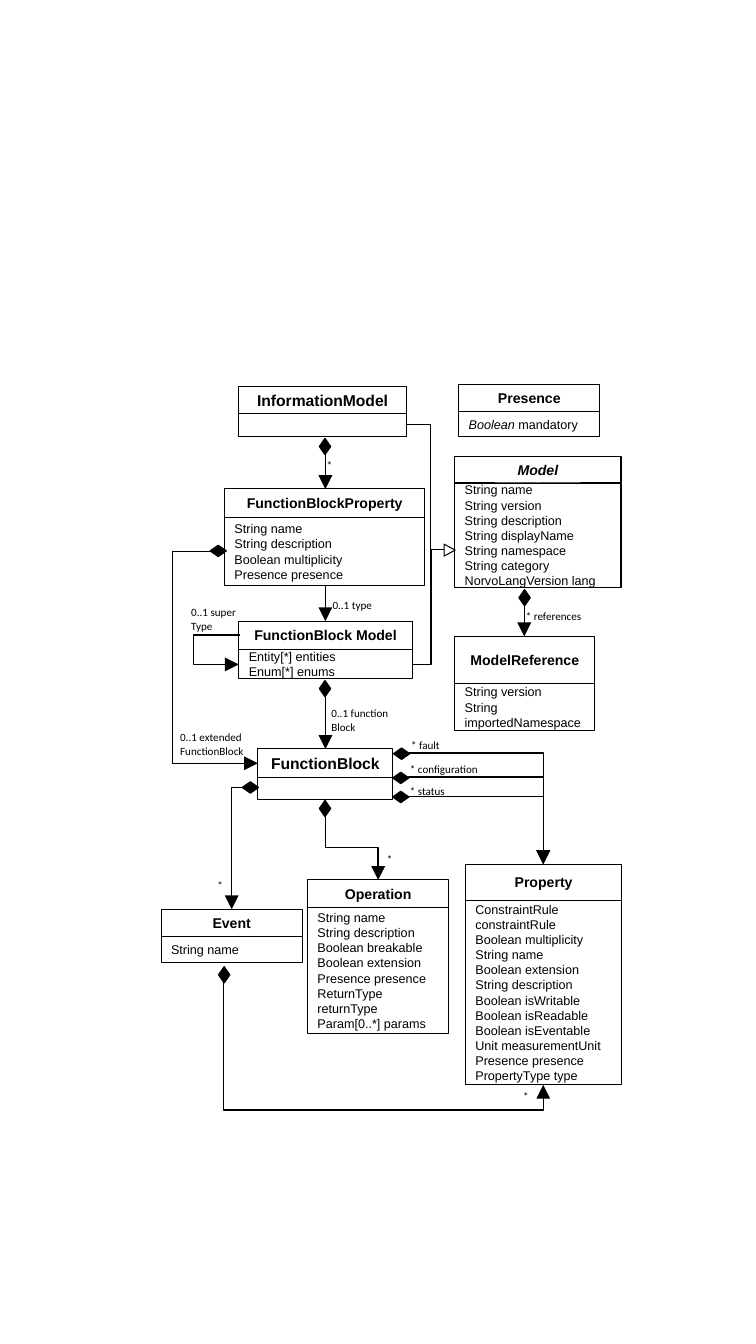
from pptx import Presentation
from pptx import util as u
from pptx.dml.color import RGBColor
from pptx.enum import shapes, text
from pptx.oxml.ns import qn
from lxml import etree

COLORS = {"ink": "000000", "paper": "FFFFFF"}
HEAD = {"name": "Arial", "size": u.Pt(10.1), "bold": True}
BIG_HEAD = {**HEAD, "size": u.Pt(11.2)}
ABSTRACT_HEAD = {**HEAD, "italic": True}
BODY = {"name": "Arial", "size": u.Pt(9)}
LABEL = {"name": "Calibri", "size": u.Pt(7.9)}

# Classes: name, heading format, left, top, width, heading height, body height, members
CLASSES = [
    ("InformationModel", BIG_HEAD, 6.02, 9.73, 4.22, 0.7, 0.56, []),
    ("FunctionBlock Model", HEAD, 6.02, 15.65, 4.37, 0.71, 0.74,
     ["Entity[*] entities", "Enum[*] enums"]),
    ("FunctionBlock", BIG_HEAD, 6.5, 18.87, 3.4, 0.71, 0.56, []),
    ("FunctionBlockProperty", HEAD, 5.66, 12.32, 5.05, 0.71, 1.73,
     ["String name", "String description", "Boolean multiplicity",
      "Presence presence"]),
    ("Presence", HEAD, 11.56, 9.68, 3.56, 0.69, 0.64,
     [("Boolean", " mandatory")]),
    ("Model", ABSTRACT_HEAD, 11.46, 11.51, 4.19, 0.66, 2.64,
     ["String name", "String version", "String description",
      "String displayName", "String namespace", "String category",
      "NorvoLangVersion lang"]),
    ("ModelReference", HEAD, 11.46, 16.03, 3.53, 1.19, 1.19,
     ["String version", "String importedNamespace"]),
    ("Event", HEAD, 4.06, 22.91, 3.56, 0.69, 0.66, ["String name"]),
    ("Operation", HEAD, 7.75, 22.17, 3.56, 0.69, 3.18,
     ["String name", "String description", "Boolean breakable",
      "Boolean extension", "Presence presence", "ReturnType returnType",
      "Param[0..*] params"]),
    ("Property", HEAD, 11.73, 21.77, 3.94, 0.91, 4.65,
     ["ConstraintRule constraintRule", "Boolean multiplicity", "String name",
      "Boolean extension", "String description", "Boolean isWritable",
      "Boolean isReadable", "Boolean isEventable", "Unit measurementUnit",
      "Presence presence", "PropertyType type"]),
]

# Straight arrows: x, top, bottom
STRAIGHT = [(8.2, 11.43, 12.32), (8.2, 14.76, 15.65),
            (8.2, 17.55, 18.87), (13.21, 15.24, 16.03)]

# Elbows that leave sideways: start, end, x of the bend (None for one corner), arrow
SIDEWAYS = [
    ((5.66, 13.89), (6.5, 19.23), 4.34, True),
    ((6.05, 16), (6.02, 16.74), 4.88, True),
    ((11.18, 13.84), (10.24, 10.69), 10.85, False),
    ((11.18, 13.84), (10.39, 16.74), 10.86, False),
    ((10.31, 18.97), (13.69, 21.77), None, True),
    ((10.29, 19.58), (13.69, 21.77), None, True),
    ((10.29, 20.07), (13.69, 21.77), None, True),
    ((6.12, 19.84), (5.84, 22.91), None, True),
]

# Elbows that leave downwards: start, end, y of the bend
DOWNWARDS = [((8.2, 20.55), (9.53, 22.17), 21.36),
             ((5.64, 24.74), (13.69, 27.33), 27.97)]

# Centres of the composition diamonds
UPRIGHT_DIAMONDS = [(8.19, 11.25), (13.22, 15.06), (8.19, 17.35),
                    (8.19, 20.37), (5.65, 24.56)]
FLAT_DIAMONDS = [(5.5, 13.88), (10.12, 18.99), (10.1, 19.6),
                 (10.1, 20.08), (6.31, 19.84)]

# Labels: text, left, top, width
LABELS = [
    ("*", 7.98, 11.43, 0.66), ("0..1 type", 8.13, 14.94, 1.5),
    ("0..1 extended\nFunctionBlock", 4.29, 18.29, 2.11),
    ("0..1 super\nType", 4.57, 15.14, 1.65),
    ("0..1 function\nBlock", 8.1, 17.68, 1.96),
    ("* references", 13, 15.24, 1.93), ("* status", 10.08, 19.63, 1.4),
    ("* fault", 10.11, 18.47, 1.24), ("* configuration", 10.08, 19.08, 2.24),
    ("*", 5.23, 22, 0.66), ("*", 9.5, 21.36, 0.66), ("*", 12.93, 27.33, 1.12),
]


def color(name):
    return RGBColor.from_string(COLORS[name])


def add_run(p, words, fmt):
    r = p.add_run()
    r.text = words
    for key, value in fmt.items():
        setattr(r.font, key, value)
    r.font.color.rgb = color("ink")


def add_outline(slide, kind, left, top, width, height, fill=None, weight=0.75):
    sp = slide.shapes.add_shape(kind, *map(u.Cm, (left, top, width, height)))
    sp.shadow.inherit = False
    if fill:
        sp.fill.solid()
        sp.fill.fore_color.rgb = color(fill)
    else:
        sp.fill.background()
    sp.line.color.rgb = color("ink")
    sp.line.width = u.Pt(weight)
    return sp


def add_class(slide, name, head_fmt, left, top, width, head_h, body_h, members):
    rect = shapes.MSO_SHAPE.RECTANGLE
    head = add_outline(slide, rect, left, top, width, head_h)
    p = head.text_frame.paragraphs[0]
    p.alignment = text.PP_ALIGN.CENTER
    add_run(p, name, head_fmt)

    body = add_outline(slide, rect, left, top + head_h, width, body_h)
    tf = body.text_frame
    for i, member in enumerate(members):
        p = tf.add_paragraph() if i else tf.paragraphs[0]
        p.alignment = text.PP_ALIGN.LEFT
        if isinstance(member, tuple):
            add_run(p, member[0], {**BODY, "italic": True})
            member = member[1]
        add_run(p, member, BODY)


def add_line(slide, kind, start, end, arrow=True):
    line = slide.shapes.add_connector(kind, *map(u.Cm, (*start, *end)))
    line.line.color.rgb = color("ink")
    line.line.width = u.Pt(1)
    if arrow:
        etree.SubElement(line.line._get_or_add_ln(), qn("a:tailEnd"),
                         type="triangle", w="lg", len="lg")
    etree.SubElement(line._element.spPr, qn("a:effectLst"))
    return line


def set_bend(line, ratio):
    geom = line._element.spPr.find(qn("a:prstGeom"))
    if ratio is None:
        geom.set("prst", "bentConnector2")
        return
    guides = geom.find(qn("a:avLst"))
    etree.SubElement(guides, qn("a:gd"), name="adj1",
                     fmla=f"val {round(ratio * 100000)}")


def add_sideways(slide, start, end, bend, arrow):
    line = add_line(slide, shapes.MSO_CONNECTOR.ELBOW, start, end, arrow)
    x1, x2 = start[0], end[0]
    set_bend(line, None if bend is None else (bend - x1) / (x2 - x1))


def add_downwards(slide, start, end, bend):
    # Laid out sideways about its centre, then turned a quarter clockwise
    (x1, y1), (x2, y2) = start, end
    cx, cy = (x1 + x2) / 2, (y1 + y2) / 2
    dx, dy = (x2 - x1) / 2, (y2 - y1) / 2
    line = add_line(slide, shapes.MSO_CONNECTOR.ELBOW,
                    (cx - dy, cy + dx), (cx + dy, cy - dx))
    line._element.spPr.find(qn("a:xfrm")).set("rot", "5400000")
    set_bend(line, (bend - y1) / (y2 - y1))


def add_diamond(slide, center, width, height):
    x, y = center
    add_outline(slide, shapes.MSO_SHAPE.DIAMOND, x - width / 2, y - height / 2,
                width, height, "ink", 1)


def add_label(slide, words, left, top, width):
    height = 0.94 if "\n" in words else 0.58
    box = slide.shapes.add_textbox(*map(u.Cm, (left, top, width, height)))
    tf = box.text_frame
    tf.word_wrap = False
    tf.auto_size = text.MSO_AUTO_SIZE.SHAPE_TO_FIT_TEXT
    p = tf.paragraphs[0]
    for i, part in enumerate(words.split("\n")):
        if i:
            p.add_line_break()
        add_run(p, part, LABEL)


def main():
    prs = Presentation()
    prs.slide_width, prs.slide_height = u.Cm(19.05), u.Cm(33.86)
    slide = prs.slides.add_slide(prs.slide_layouts[6])

    # Class boxes
    for item in CLASSES:
        add_class(slide, *item)

    # Associations
    for x, top, bottom in STRAIGHT:
        add_line(slide, shapes.MSO_CONNECTOR.STRAIGHT, (x, top), (x, bottom))
    for item in SIDEWAYS:
        add_sideways(slide, *item)
    for item in DOWNWARDS:
        add_downwards(slide, *item)

    # Ends of the associations
    for center in UPRIGHT_DIAMONDS:
        add_diamond(slide, center, 0.28, 0.4)
    for center in FLAT_DIAMONDS:
        add_diamond(slide, center, 0.4, 0.28)
    inherits = add_outline(slide, shapes.MSO_SHAPE.ISOSCELES_TRIANGLE,
                           11.18, 13.72, 0.3, 0.28, "paper")
    inherits.rotation = 90

    # Multiplicities and roles
    for item in LABELS:
        add_label(slide, *item)

    prs.save("out.pptx")


main()
